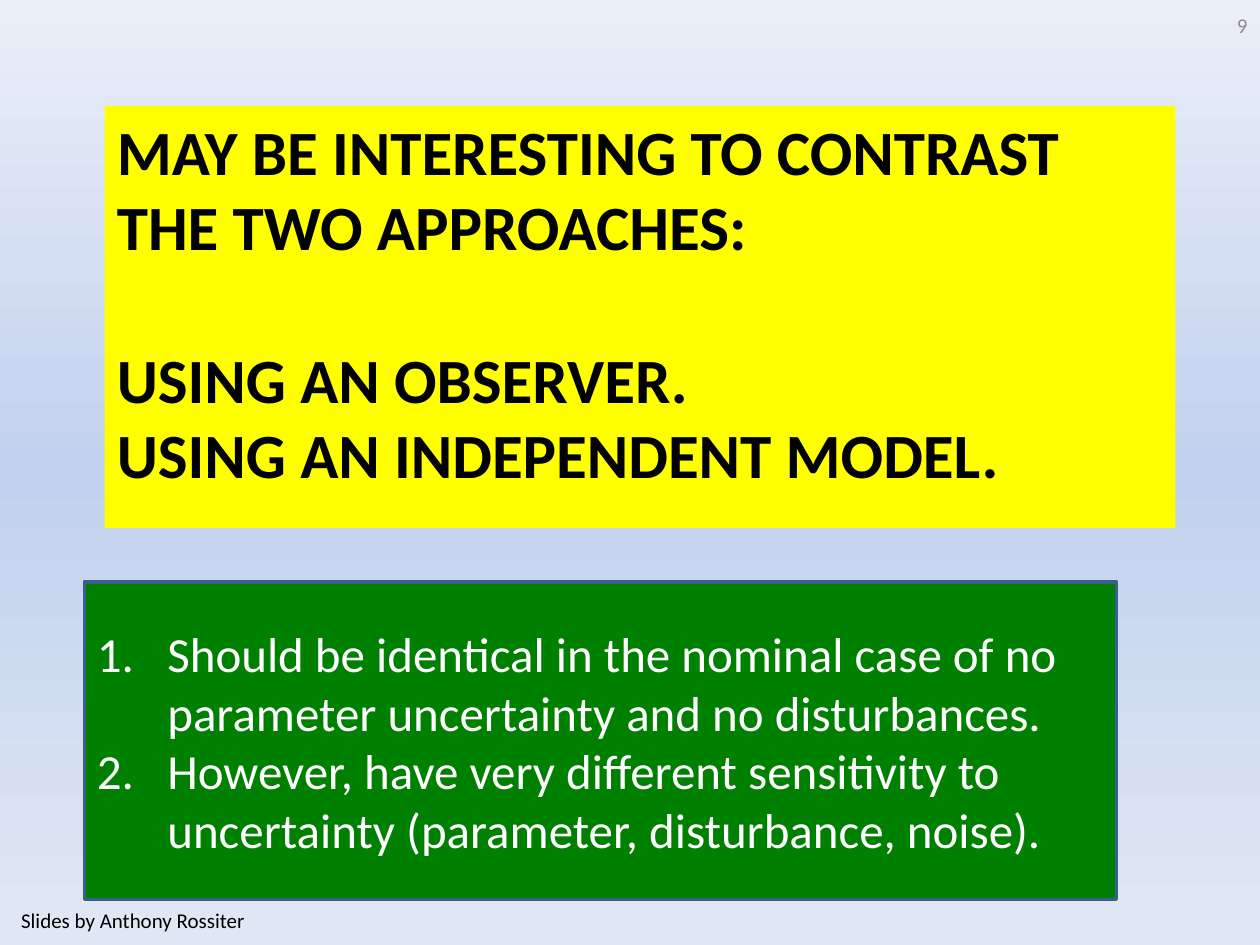
from copy import deepcopy

from pptx import Presentation
from pptx.dml.color import RGBColor
from pptx.enum import shapes, text
from pptx.oxml.ns import qn
from pptx.util import Inches, Pt
from lxml import etree

COLOURS = {
    "sky_top": "EAEFF9", "sky_middle": "C2D1ED", "sky_bottom": "E1E8F5",
    "yellow": "FFFF00", "green": "008000", "border": "3A5F8C",
    "black": "000000", "grey": "8C8C8C", "white": "FFFFFF",
}


def colour(name):
    return RGBColor.from_string(COLOURS[name])


def write(shape, lines, size, ink, align, anchor, bold=False):
    """Fill a shape with one paragraph per line and return the paragraphs."""
    frame = shape.text_frame
    frame.word_wrap = True
    frame.vertical_anchor = anchor
    frame.text = "\n".join(lines)
    for paragraph in frame.paragraphs:
        paragraph.alignment = align
        paragraph.font.name = "Calibri"
        paragraph.font.size = Pt(size)
        paragraph.font.bold = bold
        paragraph.font.color.rgb = colour(ink)
    return frame.paragraphs


prs = Presentation()
prs.slide_width, prs.slide_height = Inches(10), Inches(7.5)
slide = prs.slides.add_slide(prs.slide_layouts[6])

# Background: light at both ends, darker in the middle
background = slide.background.fill
background.gradient()
background.gradient_angle = 270
stop_list = next(slide.element.iter(qn("a:gsLst")))
stop_list.append(deepcopy(stop_list[-1]))
sky = ["sky_top", "sky_middle", "sky_bottom"]
for stop, position, name in zip(background.gradient_stops, [0, 0.5, 1], sky):
    stop.position = position
    stop.color.rgb = colour(name)

# Title
title = slide.shapes.add_textbox(Inches(0.83), Inches(0.84), Inches(8.5), Inches(3.35))
title.fill.solid()
title.fill.fore_color.rgb = colour("yellow")
title_lines = write(
    title,
    ["MAY BE INTERESTING TO CONTRAST THE TWO APPROACHES:",
     "USING AN OBSERVER.",
     "USING AN INDEPENDENT MODEL."],
    36, "black", text.PP_ALIGN.LEFT, text.MSO_ANCHOR.TOP, bold=True)
title_lines[1].space_before = Pt(44)

# Footer and slide number
credit = slide.shapes.add_textbox(0, Inches(7.1), Inches(2.11), Inches(0.4))
write(credit, ["Slides by Anthony Rossiter"], 12, "black",
      text.PP_ALIGN.CENTER, text.MSO_ANCHOR.MIDDLE)
number = slide.shapes.add_textbox(Inches(8.91), 0, Inches(1.09), Inches(0.4))
write(number, ["9"], 12, "grey", text.PP_ALIGN.RIGHT, text.MSO_ANCHOR.MIDDLE)

# Numbered comparison
comparison = slide.shapes.add_shape(
    shapes.MSO_SHAPE.RECTANGLE, Inches(0.67), Inches(4.62), Inches(8.19), Inches(2.52))
comparison.shadow.inherit = False
comparison.fill.solid()
comparison.fill.fore_color.rgb = colour("green")
comparison.line.color.rgb = colour("border")
comparison.line.width = Pt(2)
points = write(
    comparison,
    ["Should be identical in the nominal case of no parameter uncertainty and no disturbances.",
     "However, have very different sensitivity to uncertainty (parameter, disturbance, noise)."],
    28, "white", text.PP_ALIGN.LEFT, text.MSO_ANCHOR.MIDDLE)
for point in points:
    properties = point._p.get_or_add_pPr()
    properties.set("marL", str(Inches(0.56)))
    properties.set("indent", str(-Inches(0.56)))
    numbering = etree.Element(qn("a:buAutoNum"), type="arabicPeriod")
    properties.find(qn("a:defRPr")).addprevious(numbering)

prs.save("out.pptx")
